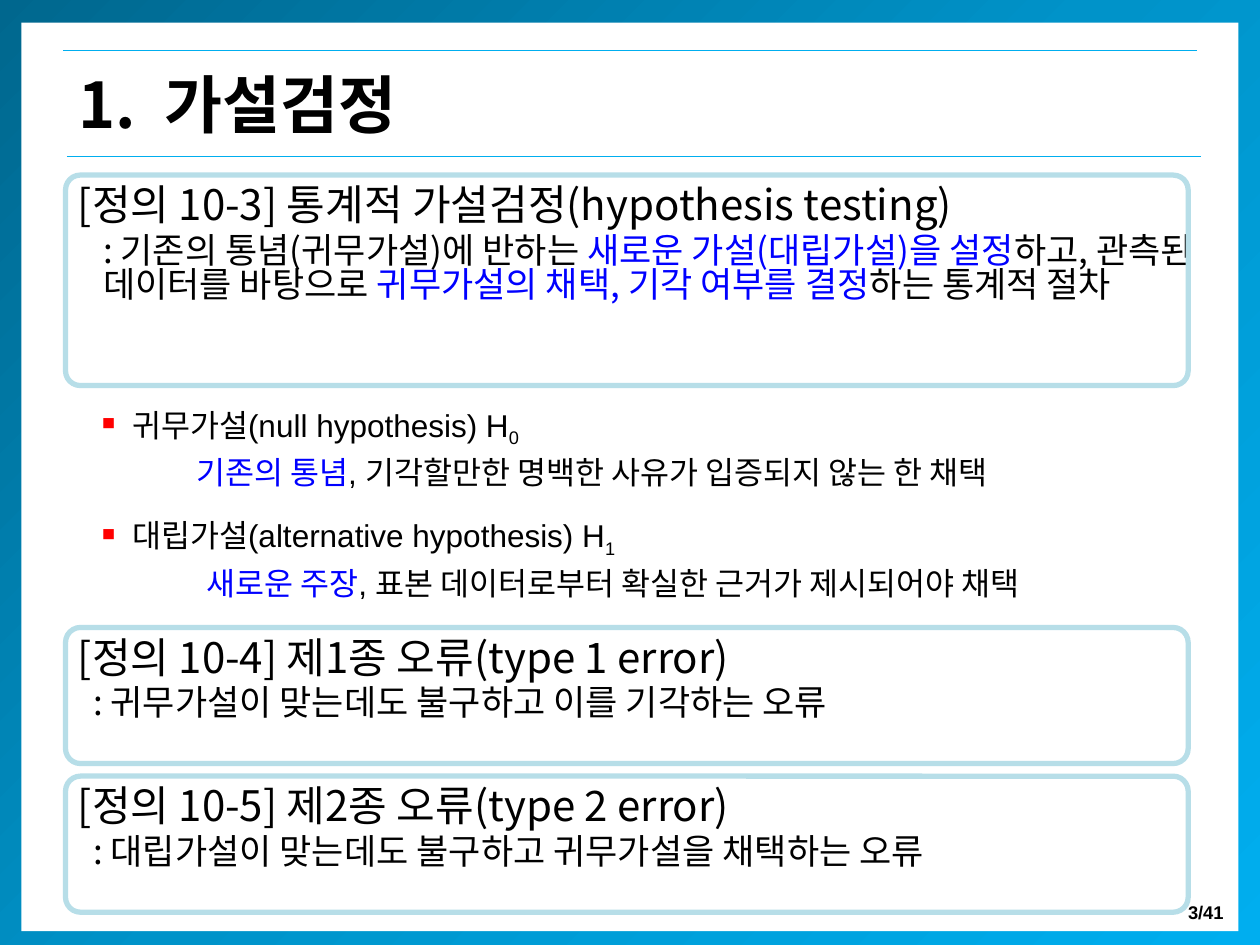
import copy
import dataclasses

import lxml.etree
import pptx
import pptx.dml.color
import pptx.enum.shapes
import pptx.enum.text
import pptx.oxml.ns
import pptx.util
from pptx.util import Inches


@dataclasses.dataclass(frozen=True)
class Theme:
    """Colours, fonts and type sizes of the slide."""
    black: str = "000000"
    white: str = "FFFFFF"
    blue: str = "0000FF"
    bullet: str = "FF0000"
    rule: str = "00AEEF"
    border: str = "B7DEE8"
    gradient: tuple = ("00678E", "0093C9", "00AEEF")
    korean: str = "Noto Sans CJK KR"
    latin: str = "Arial"
    title: float = 36
    heading: float = 24
    body: float = 20
    note: float = 18
    page: float = 10.5


THEME = Theme()
FRAME_BOX = (0, -0.04, 10, 7.59)
TITLE_BOX = (0.52, 0.4, 9.07, 0.84)
PAGE_BOX = (9.18, 7.1, 0.63, 0.28)
DEFINITIONS = [
    ((0.52, 1.39, 8.91, 1.67), 0.2,
     "[정의 10-3] 통계적 가설검정(hypothesis testing)",
     [(": 기존의 통념(귀무가설)에 반하는 ", THEME.black),
      ("새로운 가설(대립가설)을 설정", THEME.blue),
      ("하고, 관측된 데이터를 바탕으로 ", THEME.black),
      ("귀무가설의 채택, 기각 여부를 결정", THEME.blue),
      ("하는 통계적 절차", THEME.black)]),
    ((0.52, 4.98, 8.91, 1.08), 0.12,
     "[정의 10-4] 제1종 오류(type 1 error)",
     [(": 귀무가설이 맞는데도 불구하고 이를 기각하는 오류", THEME.black)]),
    ((0.52, 6.16, 8.91, 1.08), 0.12,
     "[정의 10-5] 제2종 오류(type 2 error)",
     [(": 대립가설이 맞는데도 불구하고 귀무가설을 채택하는 오류", THEME.black)]),
]
HYPOTHESES = [
    ((0.67, 3.17, 9.06, 0.78), 0.79, "귀무가설(null hypothesis) H", "0",
     "기존의 통념", ", 기각할만한 명백한 사유가 입증되지 않는 한 채택"),
    ((0.67, 4.05, 9.06, 0.78), 0.87, "대립가설(alternative hypothesis) H", "1",
     "새로운 주장", ", 표본 데이터로부터 확실한 근거가 제시되어야 채택"),
]


def rgb(value):
    """Return a colour object for a hex value."""
    return pptx.dml.color.RGBColor.from_string(value)


def inches(box):
    """Return the lengths of a box in inches."""
    return [Inches(length) for length in box]


def add_child(parent, tag, **attributes):
    """Append a DrawingML element to its parent."""
    return lxml.etree.SubElement(parent, pptx.oxml.ns.qn(tag), **attributes)


def write(paragraph, runs, size, font_name, bold=False):
    """Fill a paragraph with coloured runs in one font."""
    paragraph.font.size = pptx.util.Pt(size)
    paragraph.font.bold = bold
    paragraph.font.name = font_name
    properties = paragraph._p.pPr.find(pptx.oxml.ns.qn("a:defRPr"))
    add_child(properties, "a:ea", typeface=THEME.korean)
    for text, color in runs:
        run = paragraph.add_run()
        run.text = text
        run.font.color.rgb = rgb(color)


def add_text_box(slide, box, wrap=True):
    """Add an empty text box and return its text frame."""
    frame = slide.shapes.add_textbox(*inches(box)).text_frame
    frame.word_wrap = wrap
    return frame


def add_panel(slide, kind, box):
    """Add a preset shape without shadow or outline."""
    shape = slide.shapes.add_shape(kind, *inches(box))
    shape.shadow.inherit = False
    shape.line.fill.background()
    return shape


def add_frame(slide, box):
    """Add the gradient border, the white page and the title rules."""
    rectangle = pptx.enum.shapes.MSO_SHAPE.RECTANGLE
    border = add_panel(slide, rectangle, box)
    border.fill.gradient()
    border.fill.gradient_angle = 315
    first = border._element.spPr.find(".//" + pptx.oxml.ns.qn("a:gs"))
    first.addnext(copy.deepcopy(first))
    for index, (stop, color) in enumerate(zip(border.fill.gradient_stops, THEME.gradient)):
        stop.color.rgb = rgb(color)
        stop.position = index / 2
    left, top, width, height = box
    page = add_panel(slide, rectangle, (left + 0.17, top + 0.22, width - 0.34, height - 0.38))
    page.fill.solid()
    page.fill.fore_color.rgb = rgb(THEME.white)
    for x, y in ((0.5, 0.44), (0.53, 1.28)):
        rule = slide.shapes.add_connector(
            pptx.enum.shapes.MSO_CONNECTOR.STRAIGHT,
            *inches((left + x, top + y, left + x + 9, top + y)))
        rule.line.color.rgb = rgb(THEME.rule)
        rule.line.width = pptx.util.Pt(0.75)
        add_child(rule._element.spPr, "a:effectLst")


def add_title(slide, box):
    """Place the title placeholder in front of the frame."""
    title = slide.shapes.title
    title.left, title.top, title.width, title.height = inches(box)
    slide.shapes._spTree.append(title._element)
    frame = title.text_frame
    frame.auto_size = pptx.enum.text.MSO_AUTO_SIZE.NONE
    frame.vertical_anchor = pptx.enum.text.MSO_ANCHOR.MIDDLE
    paragraph = frame.paragraphs[0]
    paragraph.alignment = pptx.enum.text.PP_ALIGN.LEFT
    write(paragraph, [("1.  가설검정", THEME.black)], THEME.title, THEME.korean, True)


def add_definition(slide, box, indent, heading, body):
    """Add a rounded box with a definition heading and its body."""
    left, top, width, height = box
    frame = add_text_box(slide, (left, top + 0.05, width + 0.29, height))
    lines = (([(heading, THEME.black)], THEME.heading), (body, THEME.body))
    for index, (runs, size) in enumerate(lines):
        paragraph = frame.add_paragraph() if index else frame.paragraphs[0]
        paragraph.line_spacing = 0.82
        if index:
            paragraph.space_before = pptx.util.Pt(4)
        write(paragraph, runs, size, THEME.korean)
    paragraph._p.pPr.set("marL", str(Inches(indent)))
    outline = add_panel(slide, pptx.enum.shapes.MSO_SHAPE.ROUNDED_RECTANGLE, box)
    outline.adjustments[0] = round(0.12 / height, 2)
    outline.fill.background()
    outline.line.color.rgb = rgb(THEME.border)
    outline.line.width = pptx.util.Pt(3)


def add_hypothesis(slide, box, indent, name, subscript, key, explanation):
    """Add a bulleted hypothesis and the explanation under it."""
    left, top, width, height = box
    paragraph = add_text_box(slide, (left, top, 5.28, 0.4)).paragraphs[0]
    properties = paragraph._p.get_or_add_pPr()
    properties.set("marL", str(Inches(0.28)))
    properties.set("indent", str(Inches(-0.28)))
    bullet_color = add_child(properties, "a:buClr")
    add_child(bullet_color, "a:srgbClr", val=THEME.bullet)
    add_child(properties, "a:buChar", char="▪")
    write(paragraph, [(name, THEME.black), (subscript, THEME.black)], THEME.note, THEME.latin)
    paragraph.runs[1].font._element.set("baseline", "-25000")
    detail = add_text_box(slide, (left + indent, top + height - 0.4, width - indent, 0.4))
    write(detail.paragraphs[0], [(key, THEME.blue), (explanation, THEME.black)],
          THEME.note, THEME.latin)


def add_page_number(slide, box):
    """Add the page count in the lower right corner."""
    paragraph = add_text_box(slide, box, wrap=False).paragraphs[0]
    paragraph.alignment = pptx.enum.text.PP_ALIGN.RIGHT
    write(paragraph, [("3/41", THEME.black)], THEME.page, THEME.latin, True)


def main():
    """Build the slide and save it."""
    presentation = pptx.Presentation()
    presentation.slide_width, presentation.slide_height = Inches(10), Inches(7.5)
    slide = presentation.slides.add_slide(presentation.slide_layouts[5])
    add_frame(slide, FRAME_BOX)
    add_title(slide, TITLE_BOX)
    for definition in DEFINITIONS:
        add_definition(slide, *definition)
    for hypothesis in HYPOTHESES:
        add_hypothesis(slide, *hypothesis)
    add_page_number(slide, PAGE_BOX)
    presentation.save("out.pptx")


if __name__ == "__main__":
    main()
